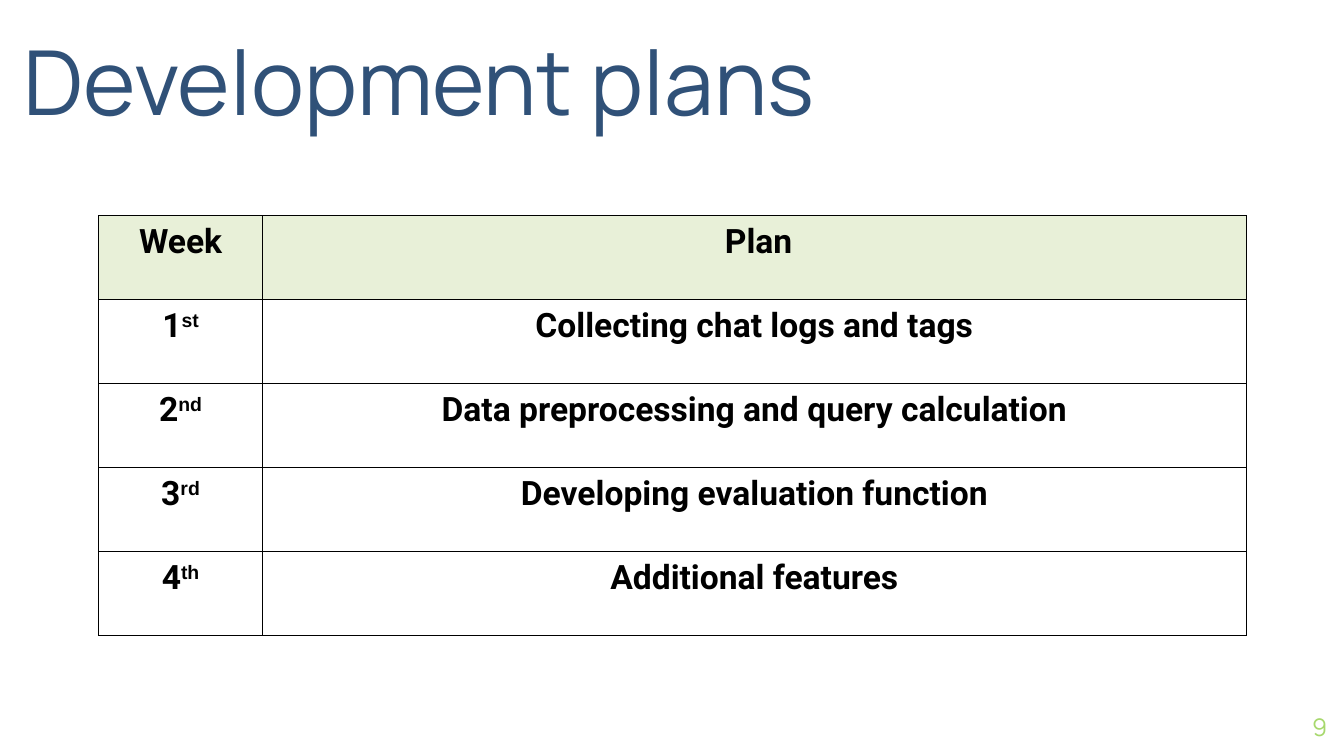
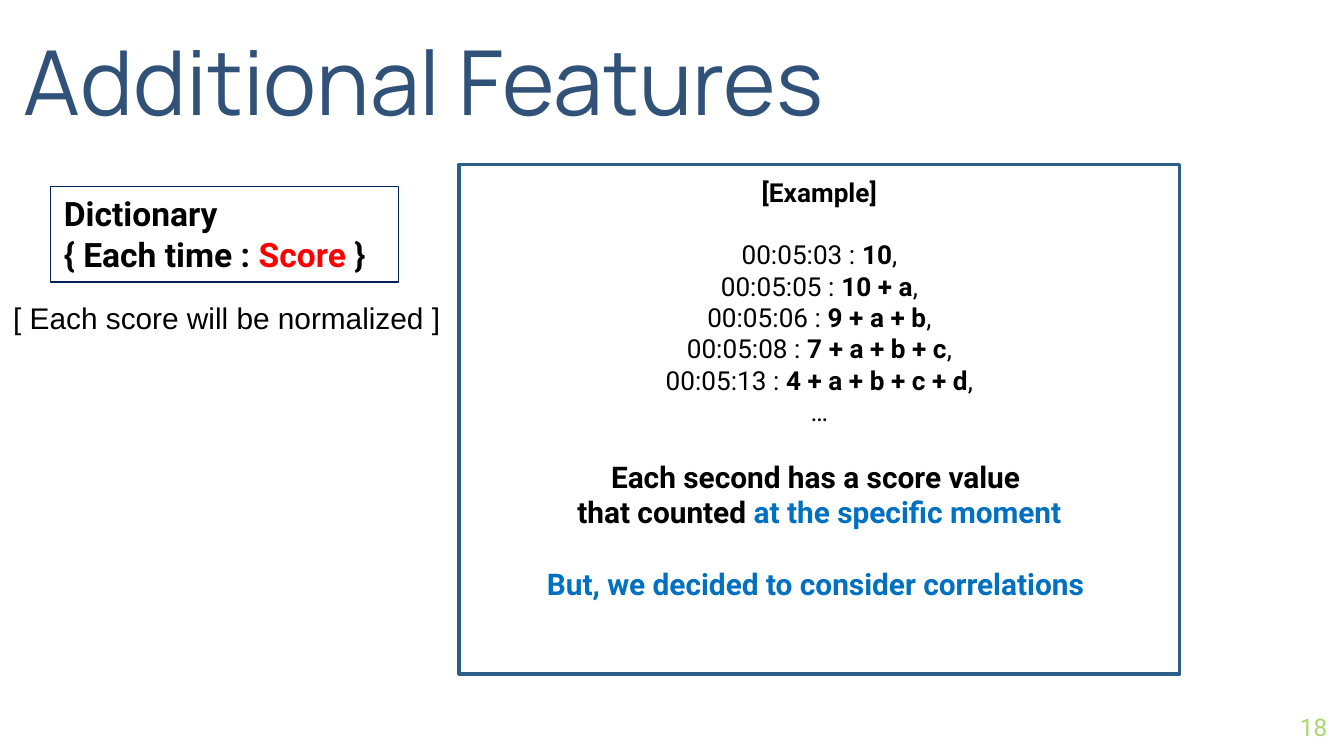
from lxml import etree
from pptx import Presentation, util as u
from pptx.dml.color import RGBColor
from pptx.enum import shapes, text
from pptx.oxml.ns import qn

COLORS = {
    "title": "305178", "number": "A7D86D", "text": "000000", "white": "FFFFFF",
    "header": "E8F0D8", "frame": "2B5F8A", "navy": "002060",
    "red": "FF0000", "blue": "0070C0",
}
LEFT, CENTER, RIGHT = text.PP_ALIGN.LEFT, text.PP_ALIGN.CENTER, text.PP_ALIGN.RIGHT

deck = Presentation()
deck.slide_width = u.Inches(10)
deck.slide_height = deck.slide_width * 9 // 16


def share(left, top, width, height):
    """Turn percentages of the slide's size into lengths."""
    across, down = deck.slide_width / 100, deck.slide_height / 100
    return [round(n) for n in (left * across, top * down, width * across, height * down)]


def write(para, spans, size, font="Roboto", color="text", bold=None, align=LEFT):
    """Fill a paragraph with spans of (words, run settings)."""
    para.alignment = align
    para.font.name, para.font.size, para.font.bold = font, u.Pt(size), bold
    para.font.color.rgb = RGBColor.from_string(COLORS[color])
    for words, settings in spans:
        span = para.add_run()
        span.text = words
        if "bold" in settings:
            span.font.bold = settings["bold"]
        if "color" in settings:
            span.font.color.rgb = RGBColor.from_string(COLORS[settings["color"]])
        if "raised" in settings:
            span.font.name = "Arial"
            span._r.get_or_add_rPr().set("baseline", "30000")


# Title and page number on every slide
pages = []
for heading, width, number, number_font in [
    ("Development plans", 68.9, "9", "Manrope"),
    ("Additional Features", 97.5, "18", "Roboto"),
]:
    page = deck.slides.add_slide(deck.slide_layouts[5])
    pages.append(page)
    title = page.shapes.title
    title.left, title.top, title.width, title.height = share(1.75, 0.95, width, 16.71)
    number_box = page.shapes.add_textbox(*share(92.75, 92.27, 6, 7.64))
    for box, words, size, font, color, align, anchor in [
        (title, heading, 48, "Manrope", "title", LEFT, text.MSO_ANCHOR.BOTTOM),
        (number_box, number, 13, number_font, "number", RIGHT, text.MSO_ANCHOR.MIDDLE),
    ]:
        frame = box.text_frame
        frame.margin_left = frame.margin_right = frame.margin_top = frame.margin_bottom = 0
        frame.auto_size = text.MSO_AUTO_SIZE.NONE
        frame.word_wrap = True
        frame.vertical_anchor = anchor
        write(frame.paragraphs[0], [(words, {})], size, font, color, align=align)
plan_page, score_page = pages

# Weekly plan
plans = [
    ("Week", "", " Plan"),
    ("1", "st", "Collecting chat logs and tags"),
    ("2", "nd", "Data preprocessing and query calculation"),
    ("3", "rd", "Developing evaluation function"),
    ("4", "th", "Additional features"),
]
table_area = share(7.34, 28.54, 85.4, 55.54)
table = plan_page.shapes.add_table(len(plans), 2, *table_area).table
table.horz_banding = False
table.columns[0].width = table_area[2] // 7
table.columns[1].width = table_area[2] - table.columns[0].width
for row, (week, ending, plan) in enumerate(plans):
    week_spans = [(week, {})] + ([(ending, {"raised": True})] if ending else [])
    for column, spans in enumerate([week_spans, [(plan, {})]]):
        cell = table.cell(row, column)
        properties = cell._tc.get_or_add_tcPr()
        for side in ("lnL", "lnR", "lnT", "lnB"):
            border = etree.SubElement(properties, qn(f"a:{side}"), w=str(u.Pt(0.75)))
            solid = etree.SubElement(border, qn("a:solidFill"))
            etree.SubElement(solid, qn("a:srgbClr"), val=COLORS["text"])
        cell.fill.solid()
        cell.fill.fore_color.rgb = RGBColor.from_string(COLORS["white" if row else "header"])
        write(cell.text_frame.paragraphs[0], spans, 18, bold=True, align=CENTER)

# Scores: each line is (spans, size, bold, space before)
scores = [
    ("00:05:03", "10"),
    ("00:05:05", "10 + a"),
    ("00:05:06", "9 + a + b"),
    ("00:05:08", "7 + a + b + c"),
    ("00:05:13", "4 + a + b + c + d"),
]
example = [([("[Example]", {})], 14, True, 0)]
for index, (time, score) in enumerate(scores):
    spans = [(f"{time} : ", {}), (score, {"bold": True}), (",", {})]
    example.append((spans, 14, False, 0 if index else 16.4))
example += [
    ([("…", {})], 14, False, 0),
    ([("Each second has a score value ", {})], 16, True, 16.8),
    ([("that counted ", {}), ("at the specific moment", {"color": "blue"})], 16, True, 0),
    ([("But, we decided to consider correlations ", {"color": "blue"})], 16, True, 19),
]
dictionary = [
    ([("Dictionary", {})], 18, True, 0),
    ([("{ Each time : ", {}), ("Score", {"color": "red"}), (" }", {})], 18, True, 0),
]
note = [([("[ Each score will be normalized ]", {})], 16, None, 0)]

for area, lines, outline, weight, font, align in [
    (share(34.17, 21.75, 53.6, 67.38), example, "frame", 2, "Roboto", CENTER),
    (share(3.77, 24.71, 25.9, 12.62), dictionary, "navy", 0.75, "Roboto", LEFT),
    (share(0, 38.76, 34.2, 6.58), note, None, 0, "Arial", LEFT),
]:
    if outline:
        box = score_page.shapes.add_shape(shapes.MSO_SHAPE.RECTANGLE, *area)
        box.shadow.inherit = False
        box.line.color.rgb = RGBColor.from_string(COLORS[outline])
        box.line.width = u.Pt(weight)
    else:
        box = score_page.shapes.add_textbox(*area)
    if lines is example:
        box.fill.solid()
        box.fill.fore_color.rgb = RGBColor.from_string(COLORS["white"])
    else:
        box.fill.background()
    frame = box.text_frame
    frame.word_wrap = True
    frame.vertical_anchor = text.MSO_ANCHOR.TOP
    frame.margin_top = u.Inches(0.09 if lines is example else 0.05)
    for index, (spans, size, bold, gap) in enumerate(lines):
        para = frame.add_paragraph() if index else frame.paragraphs[0]
        para.space_before = u.Pt(gap)
        write(para, spans, size, font, bold=bold, align=align)

deck.save("out.pptx")
